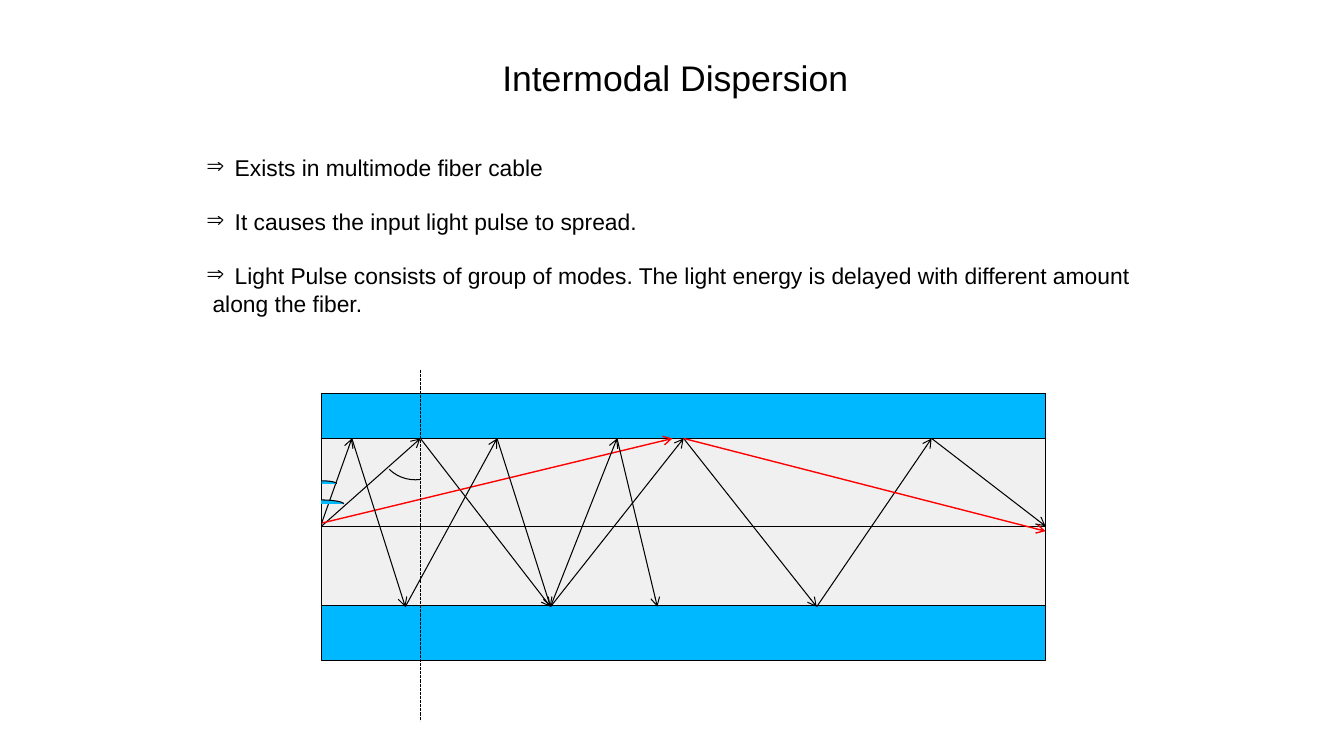
import dataclasses
import itertools

import pptx
import pptx.dml.color
import pptx.enum.dml
import pptx.enum.shapes
import pptx.enum.text
import pptx.oxml.ns
import pptx.util
from lxml import etree

Inches = pptx.util.Inches
Pt = pptx.util.Pt
Shape = pptx.enum.shapes.MSO_SHAPE


@dataclasses.dataclass(frozen=True)
class Theme:
    font: str = "Arial"
    ink: str = "000000"
    cladding: str = "00B8FF"
    core: str = "F1F0F0"
    fast_ray: str = "FF0000"
    title_size: float = 25.4
    body_size: float = 16.3
    thin: float = 0.75
    medium: float = 1


@dataclasses.dataclass(frozen=True)
class Box:
    left: float
    top: float
    width: float
    height: float

    def lengths(self):
        return [Inches(value) for value in dataclasses.astuple(self)]

    def inner(self, left, top, width, height):
        return Box(self.left + left, self.top + top, width, height)


THEME = Theme()


def color(code):
    return pptx.dml.color.RGBColor.from_string(code)


def add_child(parent, tag, **attributes):
    return etree.SubElement(parent, pptx.oxml.ns.qn(tag), attributes)


def add_span(para, text, size):
    span = para.add_run()
    span.text = text
    span.font.name = THEME.font
    span.font.size = Pt(size)
    span.font.color.rgb = color(THEME.ink)


def add_title(page, box, text):
    title = page.shapes.title
    title.left, title.top, title.width, title.height = box.lengths()
    frame = title.text_frame
    frame.word_wrap = True
    frame.auto_size = pptx.enum.text.MSO_AUTO_SIZE.NONE
    frame.vertical_anchor = pptx.enum.text.MSO_ANCHOR.MIDDLE
    para = frame.paragraphs[0]
    para.alignment = pptx.enum.text.PP_ALIGN.CENTER
    add_span(para, text, THEME.title_size)


def add_points(page, box, points, continuation):
    frame = page.shapes.add_textbox(*box.lengths()).text_frame
    frame.word_wrap = True
    for index, text in enumerate(points):
        para = frame.add_paragraph() if index else frame.paragraphs[0]
        if index:
            para.space_before = Pt(19)
        properties = para._p.get_or_add_pPr()
        properties.set("marL", str(Inches(0.28)))
        properties.set("indent", str(Inches(-0.28)))
        add_child(properties, "a:buChar", char="⇒")
        add_span(para, text, THEME.body_size)
    para = frame.add_paragraph()
    para._p.get_or_add_pPr().set("marL", str(Inches(0.06)))
    add_span(para, continuation, THEME.body_size)


def add_outlined(page, kind, box, fill=None):
    shape = page.shapes.add_shape(kind, *box.lengths())
    shape.shadow.inherit = False
    if fill:
        shape.fill.solid()
        shape.fill.fore_color.rgb = color(fill)
    else:
        shape.fill.background()
    shape.line.color.rgb = color(THEME.ink)
    shape.line.width = Pt(THEME.thin)
    return shape


def add_line(page, box, start, end, stroke=THEME.ink, width=THEME.thin, arrow=False, dashed=False):
    line = page.shapes.add_connector(
        pptx.enum.shapes.MSO_CONNECTOR.STRAIGHT,
        Inches(box.left + start[0]), Inches(box.top + start[1]),
        Inches(box.left + end[0]), Inches(box.top + end[1]),
    )
    line.line.color.rgb = color(stroke)
    line.line.width = Pt(width)
    if dashed:
        line.line.dash_style = pptx.enum.dml.MSO_LINE.SQUARE_DOT
    if arrow:
        add_child(line.line._get_or_add_ln(), "a:tailEnd", type="arrow")
    add_child(line._element.spPr, "a:effectLst")


def add_ray(page, box, points):
    for start, end in itertools.pairwise(points):
        add_line(page, box, start, end, arrow=True)


def add_fiber(page, box):
    upper, lower, axis, entry = 0.45, 2.12, 1.32, 1.29
    normal, crest = 0.98, 3.59
    add_outlined(page, Shape.RECTANGLE, box, THEME.cladding)
    add_outlined(page, Shape.RECTANGLE, box.inner(0, upper, box.width, 1.66), THEME.core)
    add_line(page, box, (0, axis), (box.width, axis))

    bounces = zip((normal, 2.27, crest, 4.91, 6.05), itertools.cycle((upper, lower)))
    add_ray(page, box, [(0, axis), *bounces, (box.width, axis)])
    for start, end in (
        ((0, entry), (3.48, upper)),
        ((crest, upper), (box.width, 1.37)),
    ):
        add_line(page, box, start, end, THEME.fast_ray, THEME.medium, arrow=True)
    bounces = zip((0.3, 0.83, 1.74, 2.27, 2.93, 3.33), itertools.cycle((upper, lower)))
    add_ray(page, box, [(0, entry), *bounces])

    for place in ((-0.15, 0.87, 0.3, 0.06), (-0.23, 1.06, 0.45, 0.08)):
        add_outlined(page, Shape.ARC, box.inner(*place), THEME.cladding)
    add_line(page, box, (normal, -0.23), (normal, 3.25), dashed=True)
    angle = add_outlined(page, Shape.ARC, box.inner(0.57, 0.18, 0.72, 0.68))
    angle.rotation = 180
    angle.adjustments[0] = 156.62
    angle.adjustments[1] = 190.59


def main():
    deck = pptx.Presentation()
    deck.slide_width, deck.slide_height = Inches(13.33), Inches(7.5)
    page = deck.slides.add_slide(deck.slide_layouts.get_by_name("Title Only"))
    add_title(page, Box(4.85, 0.5, 3.7, 0.53), "Intermodal Dispersion")
    add_points(
        page,
        Box(1.95, 1.48, 9.47, 2.85),
        (
            "Exists in multimode fiber cable",
            "It causes the input light pulse to spread.",
            "Light Pulse consists of group of modes. The light energy is delayed with different amount",
        ),
        "along the fiber.",
    )
    add_fiber(page, Box(3.19, 3.9, 7.18, 2.65))
    deck.save("out.pptx")


if __name__ == "__main__":
    main()
